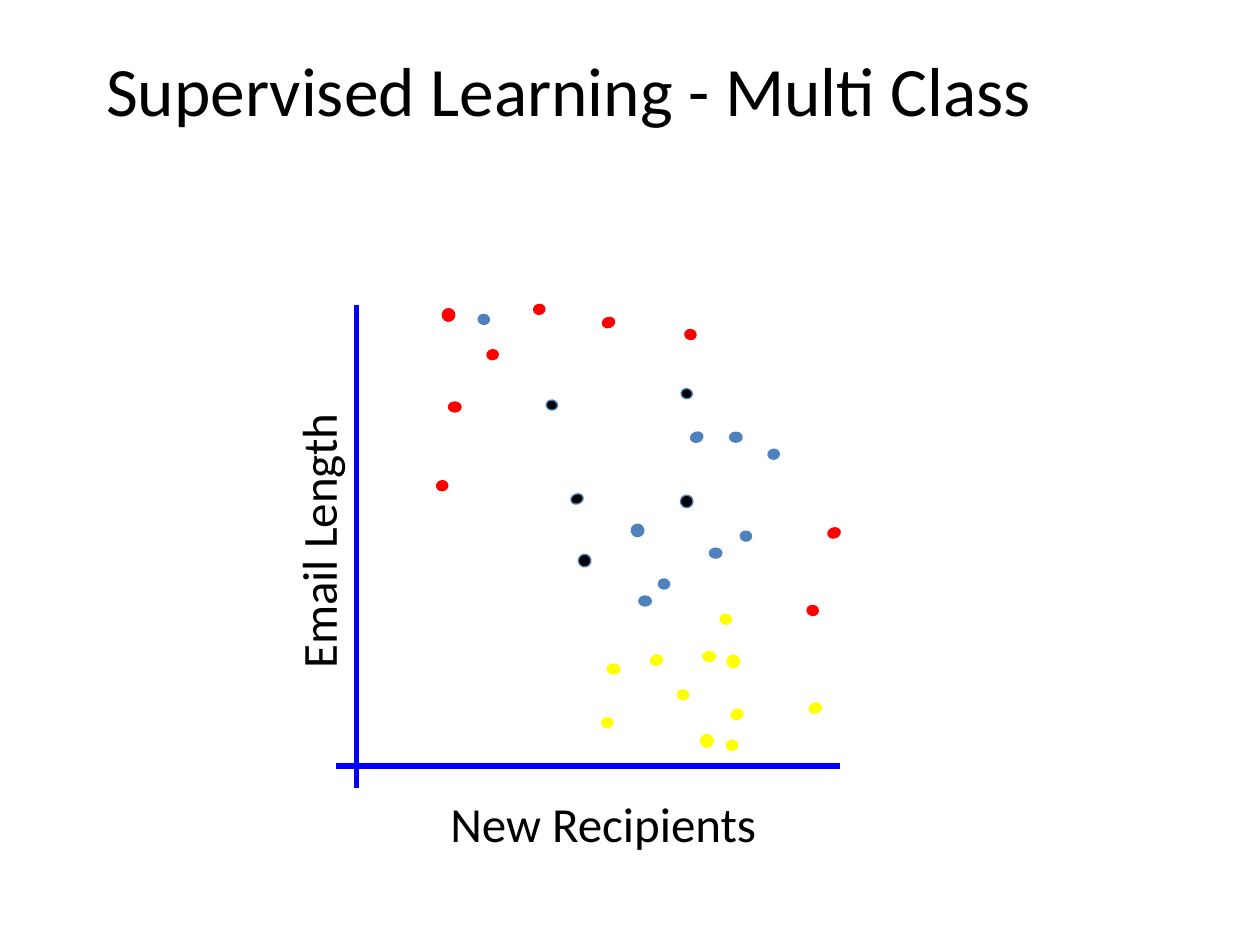
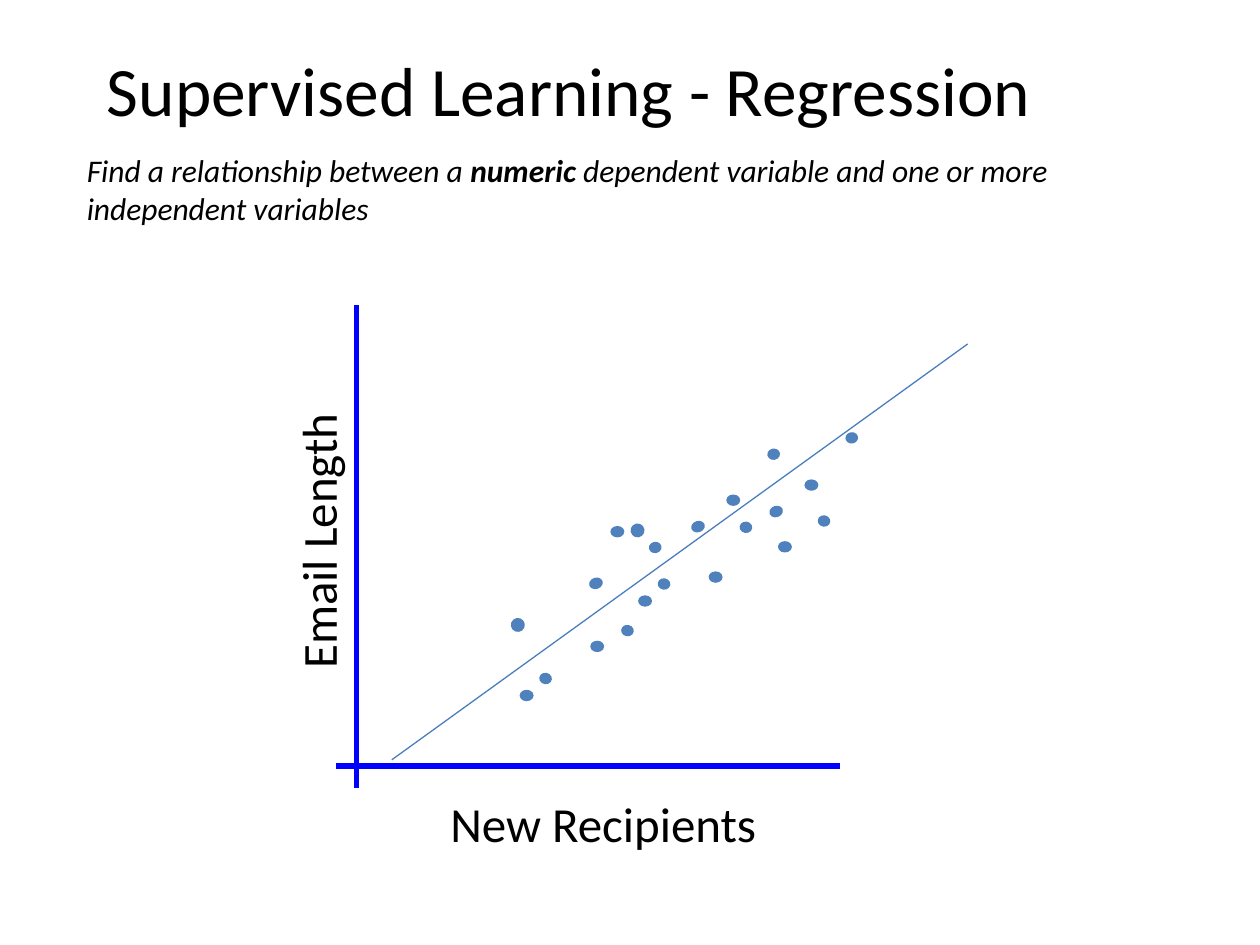
from pptx import Presentation
from pptx.dml.color import RGBColor
from pptx.enum.shapes import MSO_CONNECTOR, MSO_SHAPE
from pptx.enum.text import MSO_ANCHOR, PP_ALIGN
from pptx.oxml.ns import qn
from pptx.util import Pt
from lxml.etree import SubElement

PX = 9144  # 100 px to the inch
RED, BLUE, BLACK, YELLOW = "FF0000", "4F81BD", "000000", "FFFF00"
AXIS, TREND = "0000FF", "4B7EBC"
rgb = RGBColor.from_string

# Dot kinds: width, height, rotation
KINDS = {
    "flat": (10, 8, 0),
    "tilt": (10, 8, 341.4),
    "lean": (8, 9, 98.3),
    "steep": (8, 9, 79.6),
    "round": (10, 10, 98.3),
    "ball": (10, 10, 79.6),
}

# Each plot: colour -> kind -> left and top of every dot
CLASSES = {
    RED: {
        "flat": [(356, 319)],
        "tilt": [(478, 252), (657, 419)],
        "lean": [(544, 261), (641, 480)],
        "steep": [(424, 241), (387, 277), (347, 381)],
        "round": [(351, 245)],
    },
    BLUE: {
        "flat": [(563, 435), (579, 343), (507, 473)],
        "tilt": [(548, 343)],
        "lean": [(523, 459), (588, 421), (380, 249)],
        "steep": [(610, 356)],
        "ball": [(501, 416)],
    },
    BLACK: {
        "tilt": [(453, 392)],
        "lean": [(434, 317), (541, 308)],
        "round": [(540, 393)],
        "ball": [(459, 440)],
    },
    YELLOW: {
        "flat": [(482, 527), (558, 517)],
        "tilt": [(580, 563), (516, 520), (642, 558)],
        "lean": [(572, 487), (538, 547)],
        "steep": [(478, 569), (577, 587)],
        "round": [(577, 520), (556, 583)],
    },
}
SAMPLES = {
    BLUE: {
        "flat": [(563, 454), (577, 393), (507, 473), (469, 509),
                 (485, 418), (413, 548), (618, 430), (639, 381)],
        "tilt": [(549, 414), (468, 459), (611, 402)],
        "lean": [(523, 459), (588, 414), (429, 534), (494, 496), (650, 409)],
        "steep": [(610, 356), (516, 430), (672, 343)],
        "ball": [(501, 416), (406, 491)],
    },
}
GOAL = [
    ("Find a relationship between a ", {"italic": True}),
    ("numeric", {"italic": True, "bold": True}),
    (" dependent variable and one or more independent variables", {"italic": True}),
]
PAGES = [
    ("Supervised Learning - Multi Class", [], CLASSES, None),
    ("Supervised Learning - Regression", GOAL, SAMPLES, (311, 603, 768, 273)),
]


def write(slide, place, runs, size, align=PP_ALIGN.LEFT, anchor=MSO_ANCHOR.TOP):
    """Add a text box from (text, font values) runs."""
    box = slide.shapes.add_textbox(*[n * PX for n in place])
    frame = box.text_frame
    frame.word_wrap = True
    frame.vertical_anchor = anchor
    par = frame.paragraphs[0]
    par.alignment = align
    for text, style in runs:
        run = par.add_run()
        run.text = text
        run.font.color.rgb = rgb(BLACK)
        for key, value in {"name": "Calibri", "size": Pt(size), **style}.items():
            setattr(run.font, key, value)
    return box


def draw(slide, ends, colour, width):
    """Add a straight line without a shadow."""
    line = slide.shapes.add_connector(MSO_CONNECTOR.STRAIGHT, *[n * PX for n in ends])
    line.line.color.rgb = rgb(colour)
    line.line.width = Pt(width)
    SubElement(line._element.spPr, qn("a:effectLst"))


deck = Presentation()
deck.slide_width, deck.slide_height = 1000 * PX, 750 * PX

for title, goal, plot, trend in PAGES:
    slide = deck.slides.add_slide(deck.slide_layouts[6])
    write(slide, (17, 33, 869, 75), [(title, {})], 39.6, PP_ALIGN.CENTER, MSO_ANCHOR.MIDDLE)
    if goal:
        write(slide, (59, 115, 891, 71), goal, 18)

    for ends in [(283, 242, 283, 625), (267, 608, 667, 608)]:
        draw(slide, ends, AXIS, 3)

    for colour, groups in plot.items():
        for kind, spots in groups.items():
            wide, high, turn = KINDS[kind]
            for left, top in spots:
                dot = slide.shapes.add_shape(
                    MSO_SHAPE.OVAL, left * PX, top * PX, wide * PX, high * PX)
                dot.rotation = turn
                dot.shadow.inherit = False
                dot.fill.solid()
                dot.fill.fore_color.rgb = rgb(colour)
                dot.line.color.rgb = rgb(BLUE if colour == BLACK else colour)
                dot.line.width = Pt(0.75)

    for label, left, top, turn in [("New Recipients", 324, 625, 0),
                                   ("Email Length", 109, 433, 270)]:
        box = write(slide, (left, top, 286, 57), [(label, {})], 28, PP_ALIGN.RIGHT)
        box.rotation = turn

    if trend:
        draw(slide, trend, TREND, 0.75)

deck.save("out.pptx")
